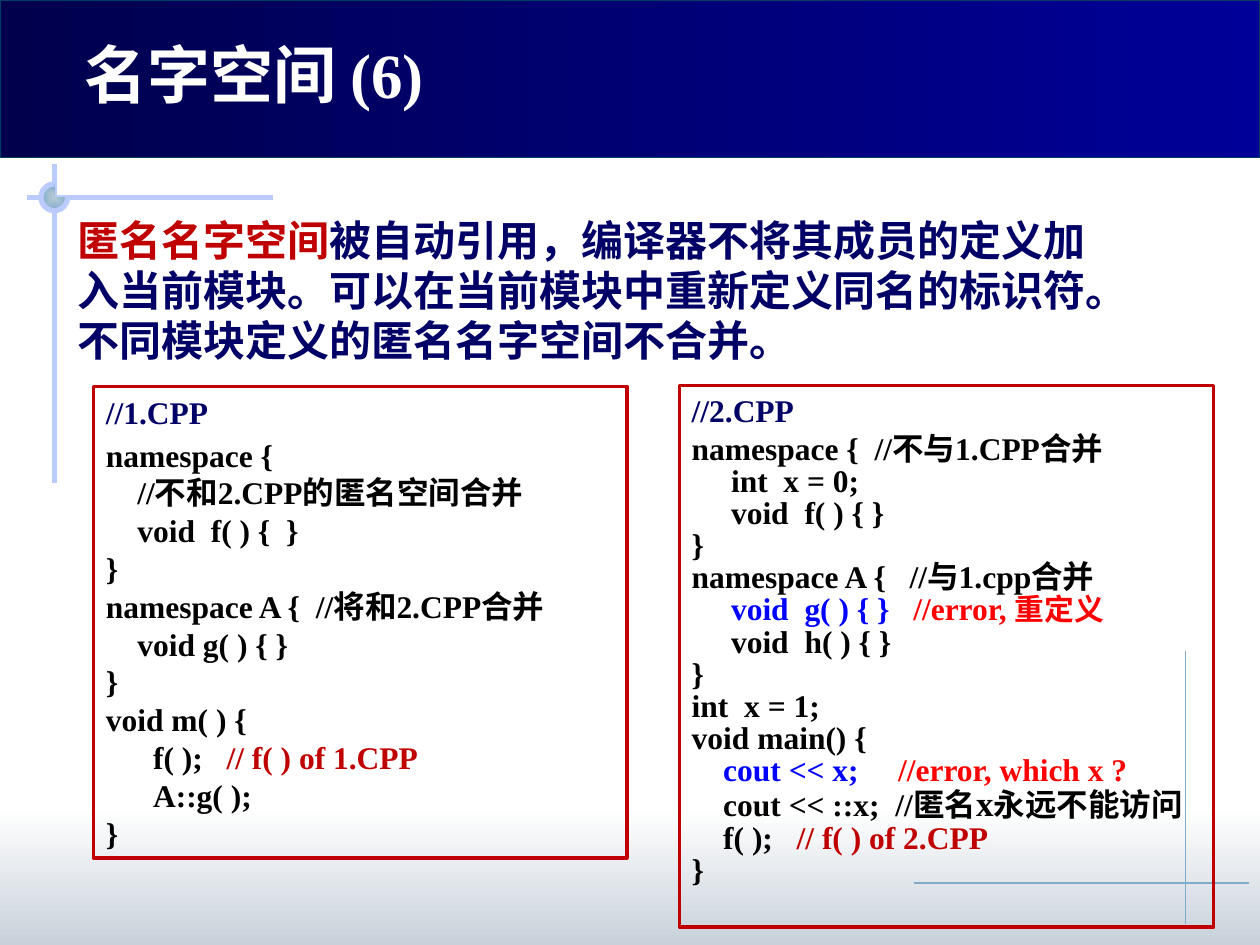
from lxml import etree
from pptx import Presentation
from pptx import util as u
from pptx.dml.color import RGBColor
from pptx.enum import shapes, text
from pptx.oxml import ns

WHITE = RGBColor(0xFF, 0xFF, 0xFF)
BLACK = RGBColor(0x00, 0x00, 0x00)
NAVY = RGBColor(0x00, 0x00, 0x66)
NAVY_DARK = RGBColor(0x00, 0x00, 0x4D)
NAVY_LIGHT = RGBColor(0x00, 0x00, 0x99)
TEAL = RGBColor(0x00, 0x3D, 0x62)
MIST = RGBColor(0xC8, 0xD1, 0xDA)
LILAC = RGBColor(0xBB, 0xCB, 0xFD)
PALE = RGBColor(0xB6, 0xCB, 0xD6)
STEEL = RGBColor(0x81, 0xAB, 0xCB)
CRIMSON = RGBColor(0xC0, 0x00, 0x00)
RED = RGBColor(0xFF, 0x00, 0x00)
BLUE = RGBColor(0x00, 0x00, 0xFF)

FONT = "Times New Roman"
COLS, ROWS = 120, 90
WIDTH, HEIGHT = u.Inches(10), u.Inches(7.5)
HANG = 0.56
SPACE = 0.0625

LEFT_CODE = [
    (0, [("//1.CPP", NAVY)]),
    (0, [("namespace {", BLACK)]),
    (4, [("//不和2.CPP的匿名空间合并", BLACK)]),
    (4, [("void  f( ) {  }", BLACK)]),
    (0, [("}", BLACK)]),
    (0, [("namespace A {  //将和2.CPP合并", BLACK)]),
    (4, [("void g( ) { }", BLACK)]),
    (0, [("}", BLACK)]),
    (0, [("void m( ) {", BLACK)]),
    (6, [("f( );   ", BLACK), ("// f( ) of 1.CPP", CRIMSON)]),
    (6, [("A::g( );", BLACK)]),
    (0, [("}", BLACK)]),
]
RIGHT_CODE = [
    (0, [("//2.CPP", NAVY)]),
    (0, [("namespace {  //不与1.CPP合并", BLACK)]),
    (5, [("int  x = 0;", BLACK)]),
    (5, [("void  f( ) { }", BLACK)]),
    (0, [("}", BLACK)]),
    (0, [("namespace A {   //与1.cpp合并", BLACK)]),
    (5, [("void  g( ) { }   ", BLUE), ("//error, ", RED), ("重定义", RED, 17)]),
    (5, [("void  h( ) { }", BLACK)]),
    (0, [("}", BLACK)]),
    (0, [("int  x = 1;", BLACK)]),
    (0, [("void main() {", BLACK)]),
    (4, [("cout << x;     ", BLUE), ("//error, which x ?", RED)]),
    (4, [("cout << ::x;  //匿名", BLACK), ("x", BLACK, 20), ("永远不能访问", BLACK)]),
    (4, [("f( );   ", BLACK), ("// f( ) of 2.CPP", CRIMSON)]),
    (0, [("}", BLACK)]),
]


def col(n):
    return round(WIDTH * n / COLS)


def row(n):
    return round(HEIGHT * n / ROWS)


def add_line(s, x1, y1, x2, y2, color, width):
    line = s.shapes.add_connector(
        shapes.MSO_CONNECTOR.STRAIGHT, col(x1), row(y1), col(x2), row(y2))
    line.line.color.rgb = color
    line.line.width = u.Pt(width)
    etree.SubElement(line._element.spPr, ns.qn("a:effectLst"))


def add_preset(s, kind, box, line=None, width=0.75):
    x, y, w, h = box
    sp = s.shapes.add_shape(kind, col(x), row(y), col(w), row(h))
    sp.shadow.inherit = False
    sp.fill.background()
    if line is None:
        sp.line.fill.background()
    else:
        sp.line.color.rgb = line
        sp.line.width = u.Pt(width)
    return sp


def fill_gradient(sp, start, end, angle=0):
    sp.fill.gradient()
    sp.fill.gradient_angle = angle
    for stop, color, position in zip(sp.fill.gradient_stops, (start, end), (0, 1)):
        stop.color.rgb = color
        stop.position = position


def make_radial(sp):
    grad = sp._element.spPr.find(ns.qn("a:gradFill"))
    grad.remove(grad.find(ns.qn("a:lin")))
    radial = etree.SubElement(grad, ns.qn("a:path"), {"path": "rect"})
    centre = {side: "50000" for side in "ltrb"}
    etree.SubElement(radial, ns.qn("a:fillToRect"), centre)


def setup_frame(sp):
    tf = sp.text_frame
    tf.word_wrap = True
    tf.auto_size = text.MSO_AUTO_SIZE.SHAPE_TO_FIT_TEXT
    tf.vertical_anchor = text.MSO_ANCHOR.TOP
    return tf


def add_textbox(s, box):
    x, y, w, h = box
    return setup_frame(s.shapes.add_textbox(col(x), row(y), col(w), row(h)))


def set_indent(p, margin, first):
    p.alignment = text.PP_ALIGN.LEFT
    pPr = p._p.get_or_add_pPr()
    pPr.set("marL", str(u.Inches(margin)))
    pPr.set("indent", str(u.Inches(first)))


def add_run(p, words, color, size=18):
    r = p.add_run()
    r.text = words
    r.font.name = FONT
    r.font.size = u.Pt(size)
    r.font.bold = True
    r.font.color.rgb = color


def add_floor(s, box):
    band = add_preset(s, shapes.MSO_SHAPE.RECTANGLE, box)
    fill_gradient(band, WHITE, MIST, 270)


def add_cross(s, box):
    x, y, w, h = box
    cx, cy, radius = x + 0.11 * w, y + 0.105 * h, 1.27
    add_line(s, x + w, cy, x, cy, LILAC, 3)
    add_line(s, cx, y, cx, y + h, LILAC, 3)
    ring = (cx - radius, cy - radius, 2 * radius, 2 * radius)
    disc = add_preset(s, shapes.MSO_SHAPE.PIE, ring)
    fill_gradient(disc, PALE, STEEL)
    make_radial(disc)
    arc = add_preset(s, shapes.MSO_SHAPE.ARC, ring, LILAC, 3)
    arc.adjustments[0] = 0
    arc.adjustments[1] = 162


def add_corner(s, box):
    x, y, w, h = box
    add_line(s, x + 0.81 * w, y, x + 0.81 * w, y + h, STEEL, 0.75)
    add_line(s, x, y + 0.85 * h, x + w, y + 0.85 * h, STEEL, 0.75)


def add_header(s, box):
    x, y, w, h = box
    banner = add_preset(s, shapes.MSO_SHAPE.RECTANGLE, box, TEAL)
    fill_gradient(banner, NAVY_DARK, NAVY_LIGHT)
    tf = add_textbox(s, (x + 0.057 * w, y + 0.28 * h, 0.354 * w, 0.464 * h))
    p = tf.paragraphs[0]
    set_indent(p, 0.38, -0.38)
    p.line_spacing = 0.8
    p.space_before = u.Pt(9)
    add_run(p, "名字空间 (6)", WHITE, 36)


def add_summary(s, box):
    p = add_textbox(s, box).paragraphs[0]
    set_indent(p, 0.02, 0)
    p.space_after = u.Pt(6)
    add_run(p, "匿名名字空间", CRIMSON, 24)
    add_run(p, "被自动引用，编译器不将其成员的定义加入当前模块。"
               "可以在当前模块中重新定义同名的标识符。"
               "不同模块定义的匿名名字空间不合并。", NAVY, 24)


def add_code(s, box, lines, spacing):
    sp = add_preset(s, shapes.MSO_SHAPE.RECTANGLE, box, CRIMSON, 2)
    tf = setup_frame(sp)
    for i, (depth, runs) in enumerate(lines):
        p = tf.add_paragraph() if i else tf.paragraphs[0]
        set_indent(p, HANG, depth * SPACE - HANG)
        if i:
            p.line_spacing = spacing
        else:
            p.space_after = u.Pt(3)
        for run in runs:
            add_run(p, *run)


def main():
    prs = Presentation()
    prs.slide_width, prs.slide_height = WIDTH, HEIGHT
    s = prs.slides.add_slide(prs.slide_layouts[6])
    add_floor(s, (0, 77, COLS, 13))
    add_corner(s, (87, 62, 32, 26))
    add_cross(s, (2.6, 15.6, 23.4, 30.4))
    add_header(s, (0, 0, COLS, 15))
    add_summary(s, (6, 19.8, 100.7, 15.6))
    add_code(s, (8.9, 36.8, 50.8, 44.9), LEFT_CODE, 1.0)
    add_code(s, (64.7, 36.7, 50.9, 51.6), RIGHT_CODE, 0.85)
    prs.save("out.pptx")


if __name__ == "__main__":
    main()
